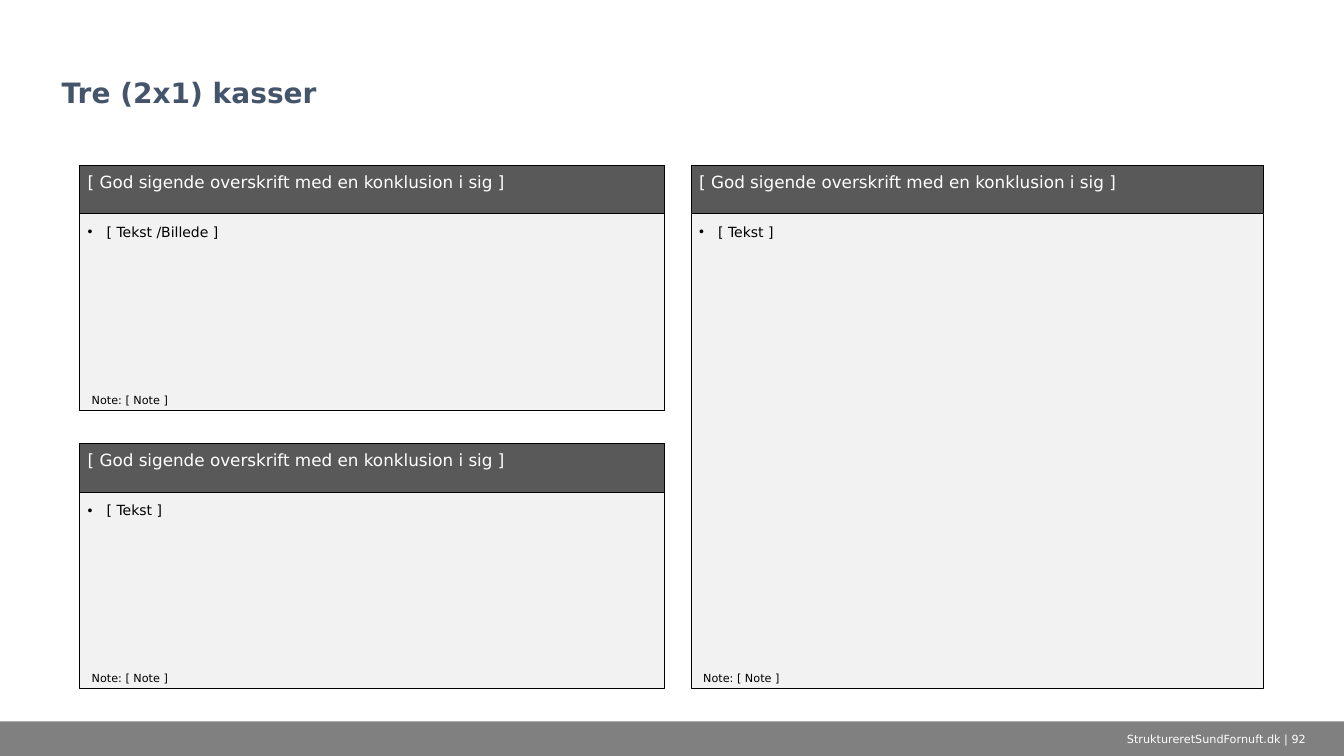
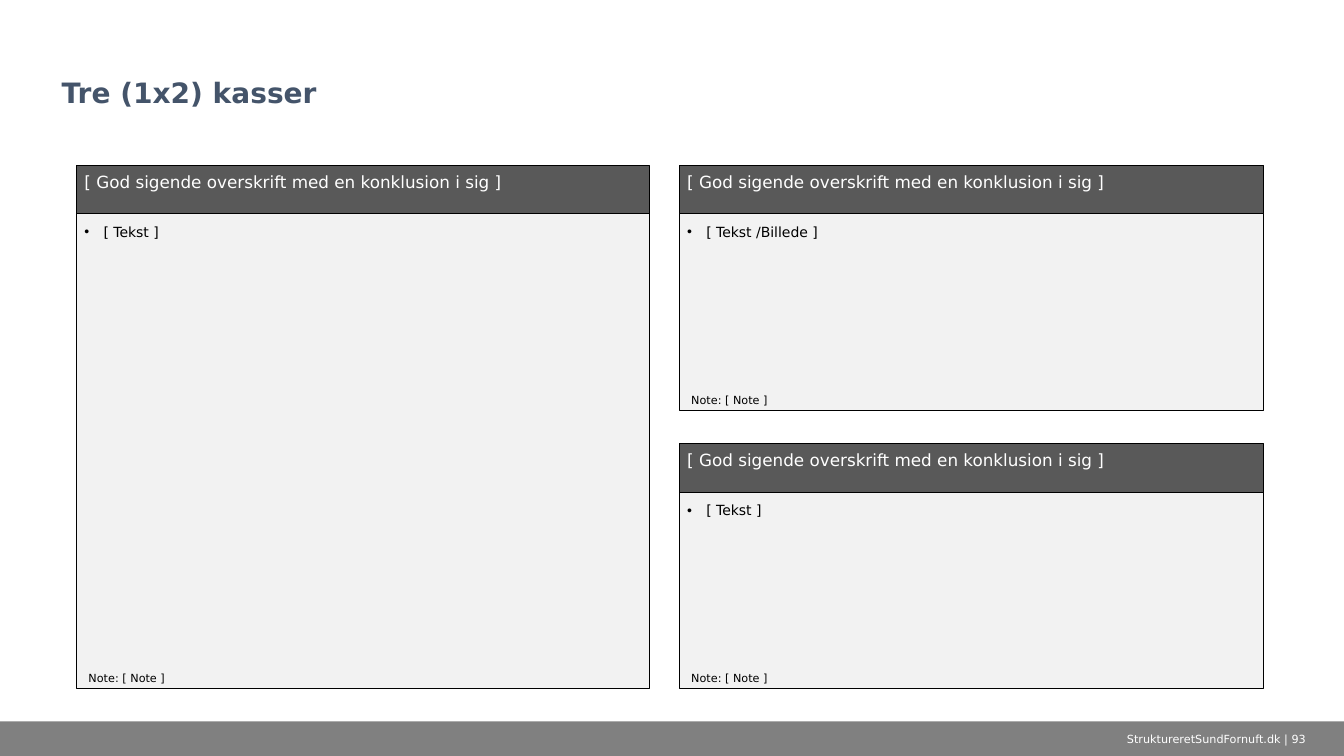
from dataclasses import dataclass

from lxml import etree
from pptx import Presentation
from pptx.dml.color import RGBColor
from pptx.enum.shapes import MSO_SHAPE
from pptx.enum.text import MSO_ANCHOR, MSO_AUTO_SIZE, PP_ALIGN
from pptx.oxml.ns import qn
from pptx.util import Cm, Pt

RECT = MSO_SHAPE.RECTANGLE
TOP, MIDDLE, BOTTOM = MSO_ANCHOR.TOP, MSO_ANCHOR.MIDDLE, MSO_ANCHOR.BOTTOM
LEFT, CENTER = PP_ALIGN.LEFT, PP_ALIGN.CENTER
NO_AUTOFIT = MSO_AUTO_SIZE.NONE
TITLE_ONLY = 5


@dataclass(frozen=True)
class Theme:
    font: str = "DejaVu Sans"
    title: RGBColor = RGBColor(0x44, 0x54, 0x6A)
    band: RGBColor = RGBColor(0x80, 0x80, 0x80)
    header: RGBColor = RGBColor(0x59, 0x59, 0x59)
    panel: RGBColor = RGBColor(0xF2, 0xF2, 0xF2)
    dark: RGBColor = RGBColor(0, 0, 0)
    light: RGBColor = RGBColor(0xFF, 0xFF, 0xFF)
    title_size: int = 20
    header_size: int = 12
    body_size: int = 10
    small_size: int = 8
    outline: float = 0.5


@dataclass(frozen=True)
class Box:
    """An area of the slide, in centimetres."""
    left: float
    top: float
    width: float
    height: float

    def lengths(self):
        return Cm(self.left), Cm(self.top), Cm(self.width), Cm(self.height)


THEME = Theme()
SLIDE_WIDTH, SLIDE_HEIGHT = 33.87, 19.05
TITLE = Box(1.3, 0.43, 31.31, 2.46)
BAND = Box(0, 18.18, SLIDE_WIDTH, 0.87)
FOOTER = Box(27.46, 18.18, 6.4, 0.87)

# Grid of the boxes
GRID_TOP, GRID_RIGHT = 4.17, 31.85
SMALL_WIDTH, TALL_WIDTH = 14.73, 14.43
SMALL_HEIGHT, ROW_GAP = 6.17, 0.84
TALL_HEIGHT = 2 * SMALL_HEIGHT + ROW_GAP

# Parts of one box
HEADER_HEIGHT, PANEL_OFFSET = 1.22, 0.5
SIDE_INSET, TOP_INSET, LIST_INSET = 0.2, 0.15, 0.97
BULLET_INDENT = 0.48
NOTE_INDENT, NOTE_RISE, NOTE_HEIGHT, NOTE_SHARE = 0.3, 0.43, 0.33, 0.77

HEADING = "[ God sigende overskrift med en konklusion i sig ]"
NOTE = "Note: [ Note ]"
TEXT = "[ Tekst ]"
TEXT_OR_IMAGE = "[ Tekst /Billede ]"
SITE = "StruktureretSundFornuft.dk"


def write(frame, text, size, color, bold=False, align=LEFT, anchor=TOP, insets=None):
    frame.word_wrap = True
    frame.vertical_anchor = anchor
    if insets is not None:
        side, top, bottom = insets
        frame.margin_left = frame.margin_right = Cm(side)
        frame.margin_top, frame.margin_bottom = Cm(top), Cm(bottom)
    paragraph = frame.paragraphs[0]
    paragraph.alignment = align
    run = paragraph.add_run()
    run.text = text
    run.font.name = THEME.font
    run.font.size = Pt(size)
    run.font.bold = bold
    run.font.color.rgb = color
    return paragraph


def add_bullet(paragraph):
    properties = paragraph._p.get_or_add_pPr()
    properties.set("marL", str(Cm(BULLET_INDENT)))
    properties.set("indent", str(-Cm(BULLET_INDENT)))
    etree.SubElement(properties, qn("a:buFont")).set("typeface", "Arial")
    etree.SubElement(properties, qn("a:buChar")).set("char", "•")


def add_rectangle(slide, box, fill, outlined=True):
    rectangle = slide.shapes.add_shape(RECT, *box.lengths())
    rectangle.shadow.inherit = False
    rectangle.fill.solid()
    rectangle.fill.fore_color.rgb = fill
    if outlined:
        rectangle.line.color.rgb = THEME.dark
        rectangle.line.width = Pt(THEME.outline)
    else:
        rectangle.line.fill.background()
    return rectangle


def add_master_band(prs, slide):
    """Place the footer band behind everything on the slide master."""
    band = add_rectangle(slide, BAND, THEME.band, outlined=False)
    prs.slide_master.element.cSld.spTree.insert(2, band.element)


def add_title(slide, text):
    title = slide.shapes.title
    title.left, title.top, title.width, title.height = TITLE.lengths()
    paragraph = write(title.text_frame, text, THEME.title_size, THEME.title,
                      bold=True, anchor=BOTTOM)
    paragraph.line_spacing = 0.9
    title.text_frame.auto_size = NO_AUTOFIT


def add_footer(slide, number):
    footer = slide.shapes.add_textbox(*FOOTER.lengths())
    write(footer.text_frame, f"{SITE} | {number}", THEME.small_size, THEME.light,
          align=CENTER, anchor=MIDDLE)


def add_content_box(slide, box, content):
    # Panel with the list
    panel_box = Box(box.left, box.top + PANEL_OFFSET,
                    box.width, box.height - PANEL_OFFSET)
    panel = add_rectangle(slide, panel_box, THEME.panel)
    item = write(panel.text_frame, content, THEME.body_size, THEME.dark,
                 insets=(SIDE_INSET, LIST_INSET, TOP_INSET))
    add_bullet(item)

    # Heading bar over the top of the panel
    header_box = Box(box.left, box.top, box.width, HEADER_HEIGHT)
    header = add_rectangle(slide, header_box, THEME.header)
    write(header.text_frame, HEADING, THEME.header_size, THEME.light,
          insets=(SIDE_INSET, TOP_INSET, TOP_INSET))

    # Note at the bottom
    note_box = Box(box.left + NOTE_INDENT, box.top + box.height - NOTE_RISE,
                   box.width * NOTE_SHARE, NOTE_HEIGHT)
    note = slide.shapes.add_textbox(*note_box.lengths())
    write(note.text_frame, NOTE, THEME.small_size, THEME.dark, insets=(0, 0, 0))


def add_three_box_slide(prs, title, number, left, tall_first):
    """One tall box beside two stacked small ones."""
    slide = prs.slides.add_slide(prs.slide_layouts[TITLE_ONLY])
    add_title(slide, title)
    add_footer(slide, number)

    if tall_first:
        tall_left, small_left = left, GRID_RIGHT - SMALL_WIDTH
    else:
        tall_left, small_left = GRID_RIGHT - TALL_WIDTH, left
    add_content_box(slide, Box(tall_left, GRID_TOP, TALL_WIDTH, TALL_HEIGHT), TEXT)
    for row, content in enumerate((TEXT_OR_IMAGE, TEXT)):
        top = GRID_TOP + row * (SMALL_HEIGHT + ROW_GAP)
        add_content_box(slide, Box(small_left, top, SMALL_WIDTH, SMALL_HEIGHT), content)
    return slide


def main():
    prs = Presentation()
    prs.slide_width, prs.slide_height = Cm(SLIDE_WIDTH), Cm(SLIDE_HEIGHT)
    first = add_three_box_slide(prs, "Tre (2x1) kasser", 92, left=2.01, tall_first=False)
    add_three_box_slide(prs, "Tre (1x2) kasser", 93, left=1.93, tall_first=True)
    add_master_band(prs, first)
    prs.save("out.pptx")


if __name__ == "__main__":
    main()
